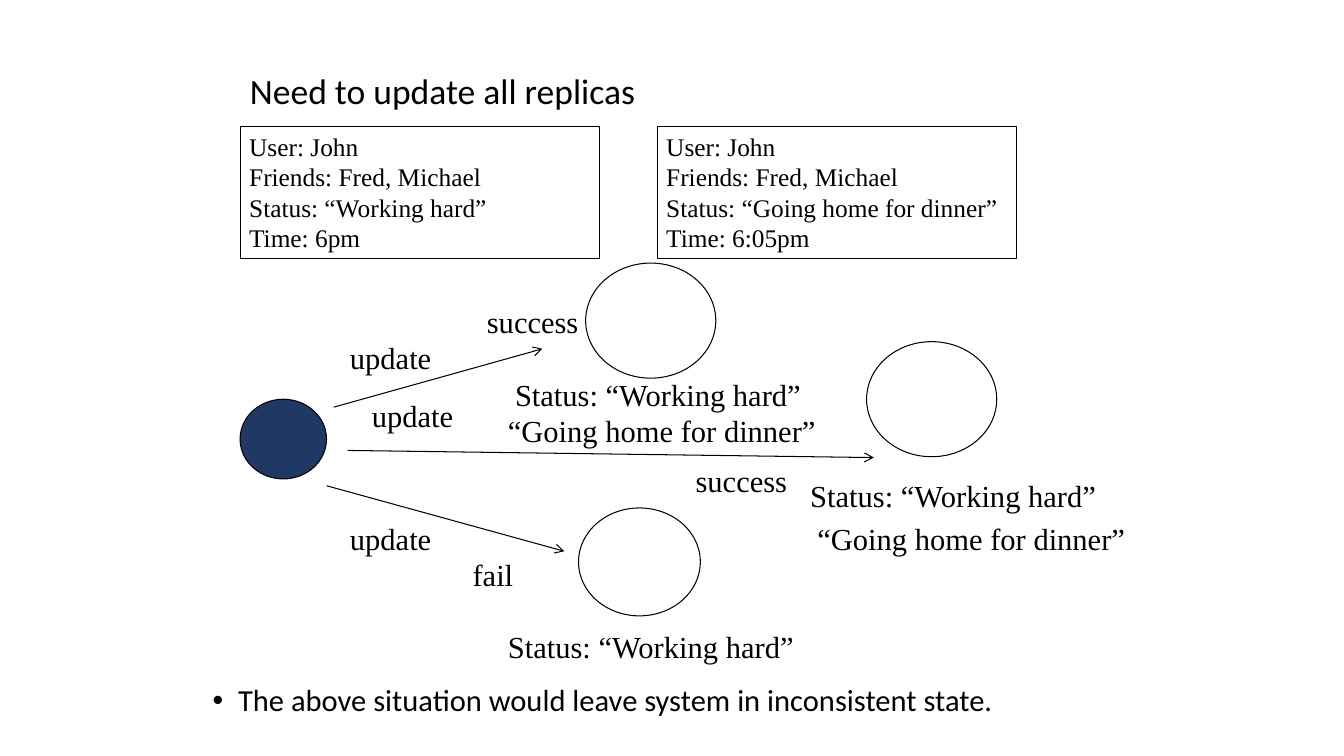
from lxml import etree
from pptx import Presentation
from pptx.dml.color import RGBColor
from pptx.enum.shapes import MSO_CONNECTOR, MSO_SHAPE
from pptx.enum.text import MSO_ANCHOR, MSO_AUTO_SIZE, PP_ALIGN
from pptx.oxml.ns import qn
from pptx.util import Cm, Pt

BLACK = RGBColor(0x00, 0x00, 0x00)
WHITE = RGBColor(0xFF, 0xFF, 0xFF)
NAVY = RGBColor(0x20, 0x38, 0x64)
SANS, SERIF = "Calibri", "Times New Roman"
RECT, OVAL = MSO_SHAPE.RECTANGLE, MSO_SHAPE.OVAL
STRAIGHT = MSO_CONNECTOR.STRAIGHT
LEFT = PP_ALIGN.LEFT
TOP, MIDDLE = MSO_ANCHOR.TOP, MSO_ANCHOR.MIDDLE
GROW = MSO_AUTO_SIZE.SHAPE_TO_FIT_TEXT

WORKING = "Status: “Working hard”"
DINNER = "“Going home for dinner”"
LABEL_WIDTHS = {WORKING: 7.8, DINNER: 8.4, "update": 2.6, "success": 2.9, "fail": 1.6}
LABELS = [
    (WORKING, 12.57, 15.7), (WORKING, 12.75, 9.35), (WORKING, 20.19, 11.89),
    (DINNER, 12.57, 10.26), (DINNER, 20.37, 12.98),
    ("update", 8.59, 8.43), ("update", 9.14, 9.88), ("update", 8.59, 12.98),
    ("success", 12.04, 7.52), ("success", 17.3, 11.53), ("fail", 11.68, 13.89),
]
NODES = [
    (14.58, 12.8, 3.07, 2.72, WHITE), (14.76, 6.63, 3.28, 2.9, WHITE),
    (21.84, 8.61, 3.28, 2.9, None), (6.05, 10.06, 2.18, 2.01, NAVY),
]
UPDATES = [
    (8.41, 10.26, 13.67, 8.79), (8.76, 11.35, 22.02, 11.53), (8.23, 12.24, 14.22, 13.89),
]
RECORDS = [(16.56, "Going home for dinner", "6:05pm"), (6.05, "Working hard", "6pm")]


def add_lines(tf, lines, size, font):
    for i, line in enumerate(lines):
        p = tf.paragraphs[0] if i == 0 else tf.add_paragraph()
        p.alignment = LEFT
        r = p.add_run()
        r.text = line
        r.font.size = Pt(size)
        r.font.name = font
        r.font.color.rgb = BLACK


def fit_frame(tf):
    tf.auto_size = GROW
    tf.margin_left = tf.margin_right = Cm(0.23)
    tf.margin_top = tf.margin_bottom = Cm(0.12)


def add_text(s, text, x, y, w, h, size, font, wrap=True):
    tf = s.shapes.add_textbox(Cm(x), Cm(y), Cm(w), Cm(h)).text_frame
    tf.word_wrap = wrap
    add_lines(tf, [text], size, font)
    return tf


def add_outlined(s, kind, x, y, w, h, fill=None):
    sp = s.shapes.add_shape(kind, Cm(x), Cm(y), Cm(w), Cm(h))
    sp.shadow.inherit = False
    if fill is None:
        sp.fill.background()
    else:
        sp.fill.solid()
        sp.fill.fore_color.rgb = fill
    sp.line.color.rgb = BLACK
    sp.line.width = Pt(0.75)
    return sp


def add_record(s, x, status, time):
    tf = add_outlined(s, RECT, x, 3.18, 9.07, 3.33).text_frame
    tf.word_wrap = True
    tf.vertical_anchor = TOP
    fit_frame(tf)
    lines = ["User: John", "Friends: Fred, Michael", f"Status: “{status}”", f"Time: {time}"]
    add_lines(tf, lines, 18.1, SERIF)


def add_label(s, text, x, y):
    fit_frame(add_text(s, text, x, y, LABEL_WIDTHS[text], 1.17, 21.8, SERIF, wrap=False))


def add_arrow(s, x1, y1, x2, y2):
    c = s.shapes.add_connector(STRAIGHT, Cm(x1), Cm(y1), Cm(x2), Cm(y2))
    c.line.color.rgb = BLACK
    c.line.width = Pt(0.75)
    etree.SubElement(c.get_or_add_ln(), qn("a:tailEnd"), type="arrow")
    etree.SubElement(c._element.spPr, qn("a:effectLst"))


def add_title(s, text):
    tf = add_text(s, text, 6.05, 1.37, 22.61, 1.93, 25.4, SANS)
    tf.vertical_anchor = MIDDLE
    tf.paragraphs[0].line_spacing = 0.9


def add_bullet(s, text):
    p = add_text(s, text, 5.11, 17.15, 24, 1.93, 21.8, SANS).paragraphs[0]
    p.line_spacing = 0.9
    p.space_before = Pt(10)
    pPr = p._p.get_or_add_pPr()
    pPr.set("marL", str(Cm(0.64)))
    pPr.set("indent", str(-Cm(0.64)))
    etree.SubElement(pPr, qn("a:buFont"), typeface="Arial")
    etree.SubElement(pPr, qn("a:buChar"), char="•")


def main():
    prs = Presentation()
    prs.slide_width, prs.slide_height = Cm(33.87), Cm(19.05)
    s = prs.slides.add_slide(prs.slide_layouts[6])
    add_title(s, "Need to update all replicas")
    add_bullet(s, "The above situation would leave system in inconsistent state.")
    for record in RECORDS:
        add_record(s, *record)
    for node in NODES:
        add_outlined(s, OVAL, *node)
    for update in UPDATES:
        add_arrow(s, *update)
    for label in LABELS:
        add_label(s, *label)
    prs.save("out.pptx")


main()
